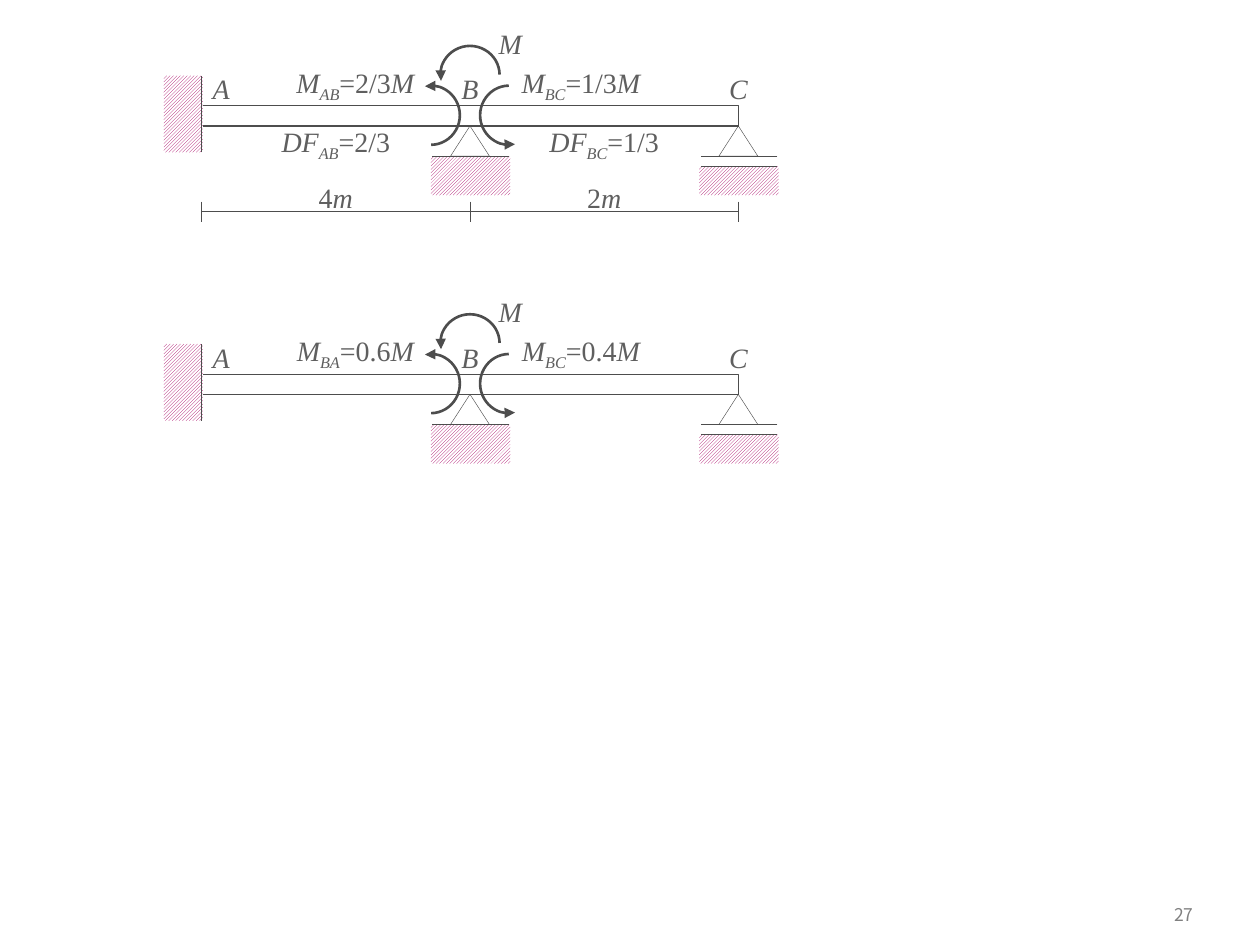
from pptx import Presentation
from pptx import util as u
from pptx.dml.color import RGBColor
from pptx.enum import dml, shapes, text
from pptx.oxml.ns import qn
from lxml import etree

INK, LABEL, HATCH, GREY = "4D4D4D", "5F5F5F", "A90165", "808080"
WIDTH, HEIGHT = 10, 7.5
LEFT, SPAN, DEPTH = 1.6, 2.13, 0.16      # beam start, span length, beam depth
A, B, C = (LEFT + SPAN * i for i in range(3))
MID_AB, MID_BC = (A + B) / 2, (B + C) / 2
BEAM_TOPS = [0.84, 0.84 + SPAN]

# Run styles: i italic, s italic subscript, n upright
# Label: runs, centre x, top relative to the beam, box width
COMMON = [
    ([("A", "i")], A + 0.155, -0.27, 0.31),
    ([("B", "i")], B, -0.27, 0.31),
    ([("C", "i")], C, -0.27, 0.31),
    ([("M", "i")], B + 0.32, -0.63, 0.31),
]


def moment(member, value, x, width):
    return [("M", "i"), (member, "s"), ("=" + value, "n"), ("M", "i")], x, -0.32, width


def factor(member, value, x):
    return [("DF", "i"), (member, "s"), ("=" + value, "n")], x, 0.15, 1.02


def length(value, x):
    return [(value, "n"), ("m", "i")], x, 0.59, 0.39


LABELS = [
    [moment("AB", "2/3", 2.82, 1.02), moment("BC", "1/3", 4.61, 1.08),
     factor("AB", "2/3", MID_AB), factor("BC", "1/3", MID_BC),
     length("4", MID_AB), length("2", MID_BC)],
    [moment("BA", "0.6", 2.82, 1.02), moment("BC", "0.4", 4.61, 1.08)],
]
# Moment arrow: centre x, centre y relative to the beam, rotation
ARROWS = [(B, -0.245, 270), (B + 0.31, 0.075, 180), (B - 0.31, 0.075, 0)]


def color(value):
    return RGBColor.from_string(value)


def inches(*values):
    return [u.Inches(value) for value in values]


def add_line(group, x1, y1, x2, y2):
    line = group.shapes.add_connector(
        shapes.MSO_CONNECTOR.STRAIGHT, *inches(x1, y1, x2, y2))
    line.line.color.rgb = color(INK)
    line.line.width = u.Pt(0.25)
    etree.SubElement(line._element.spPr, qn("a:effectLst"))


def add_outline(group, kind, x, y, width, height, weight):
    shape = group.shapes.add_shape(kind, *inches(x, y, width, height))
    shape.shadow.inherit = False
    shape.fill.background()
    shape.line.color.rgb = color(INK)
    shape.line.width = u.Pt(weight)
    return shape


def add_ground(group, x, y, width, height):
    """Hatched block without an outline."""
    block = group.shapes.add_shape(
        shapes.MSO_SHAPE.RECTANGLE, *inches(x, y, width, height))
    block.shadow.inherit = False
    block.fill.patterned()
    block.fill.pattern = dml.MSO_PATTERN.LIGHT_UPWARD_DIAGONAL
    block.fill.fore_color.rgb = color(HATCH)
    block.fill.back_color.rgb = color("FFFFFF")
    block.line.fill.background()


def add_support(group, x, base, gap):
    """Triangle under the beam at x; a gap makes it a roller."""
    add_ground(group, x - 0.31, base + 0.24 + gap, 0.63, 0.31 - gap)
    for y in sorted({base + 0.24, base + 0.24 + gap}):
        add_line(group, x + 0.31, y, x - 0.3, y)
    add_outline(group, shapes.MSO_SHAPE.ISOSCELES_TRIANGLE,
                x - 0.155, base, 0.31, 0.24, 0.25)


def add_arrow(group, x, y, rotation):
    """Half-circle arrow of a moment, centred on x, y."""
    arc = add_outline(group, shapes.MSO_SHAPE.ARC, x - 0.23, y - 0.235, 0.46, 0.47, 1.5)
    arc.adjustments[0], arc.adjustments[1] = 162.373, 60.909
    arc.rotation = rotation
    arc._element.spPr.find(qn("a:xfrm")).set("flipV", "1")
    outline = arc._element.spPr.find(qn("a:ln"))
    etree.SubElement(outline, qn("a:tailEnd"), type="triangle")


def add_label(group, runs, x, y, width):
    box = group.shapes.add_textbox(*inches(x - width / 2, y, width, 0.27))
    frame = box.text_frame
    frame.word_wrap = False
    frame.margin_left = frame.margin_right = frame.margin_top = frame.margin_bottom = 0
    para = frame.paragraphs[0]
    para.alignment = text.PP_ALIGN.CENTER
    for words, style in runs:
        span = para.add_run()
        span.text = words
        span.font.name, span.font.size = "Times New Roman", u.Pt(16)
        span.font.color.rgb = color(LABEL)
        span.font.italic = style != "n"
        if style == "s":
            span.font._element.set("baseline", "-25000")


def add_dimensions(group, y):
    add_line(group, C, y, A, y)
    for x in (A, B, C):
        add_line(group, x, y - 0.08, x, y + 0.08)


def add_beam(group, top, labels):
    add_outline(group, shapes.MSO_SHAPE.RECTANGLE, A, top, 2 * SPAN, DEPTH, 0.75)
    add_support(group, C, top + DEPTH, 0.08)
    add_support(group, B, top + DEPTH, 0)
    add_ground(group, A - 0.3, top - 0.24, 0.31, 0.61)
    add_line(group, A, top + 0.37, A, top - 0.24)
    for x, dy, rotation in ARROWS:
        add_arrow(group, x, top + dy, rotation)
    for runs, x, dy, width in COMMON + labels:
        add_label(group, runs, x, top + dy, width)


def add_page_number(page, number):
    box = page.shapes.add_textbox(*inches(8.86, 7.09, 0.71, 0.33))
    frame = box.text_frame
    frame.word_wrap = True
    frame.vertical_anchor = text.MSO_ANCHOR.MIDDLE
    para = frame.paragraphs[0]
    para.alignment = text.PP_ALIGN.RIGHT
    span = para.add_run()
    span.text = number
    span.font.name, span.font.size = "Noto Sans CJK KR", u.Pt(10)
    span.font.color.rgb = color(GREY)


def main():
    deck = Presentation()
    deck.slide_width, deck.slide_height = inches(WIDTH, HEIGHT)
    page = deck.slides.add_slide(deck.slide_layouts[6])
    add_page_number(page, "27")
    groups = [page.shapes.add_group_shape() for _ in BEAM_TOPS]
    add_dimensions(groups[0], BEAM_TOPS[0] + 0.84)
    for group, top, labels in zip(groups, BEAM_TOPS, LABELS):
        add_beam(group, top, labels)
    deck.save("out.pptx")


if __name__ == "__main__":
    main()
